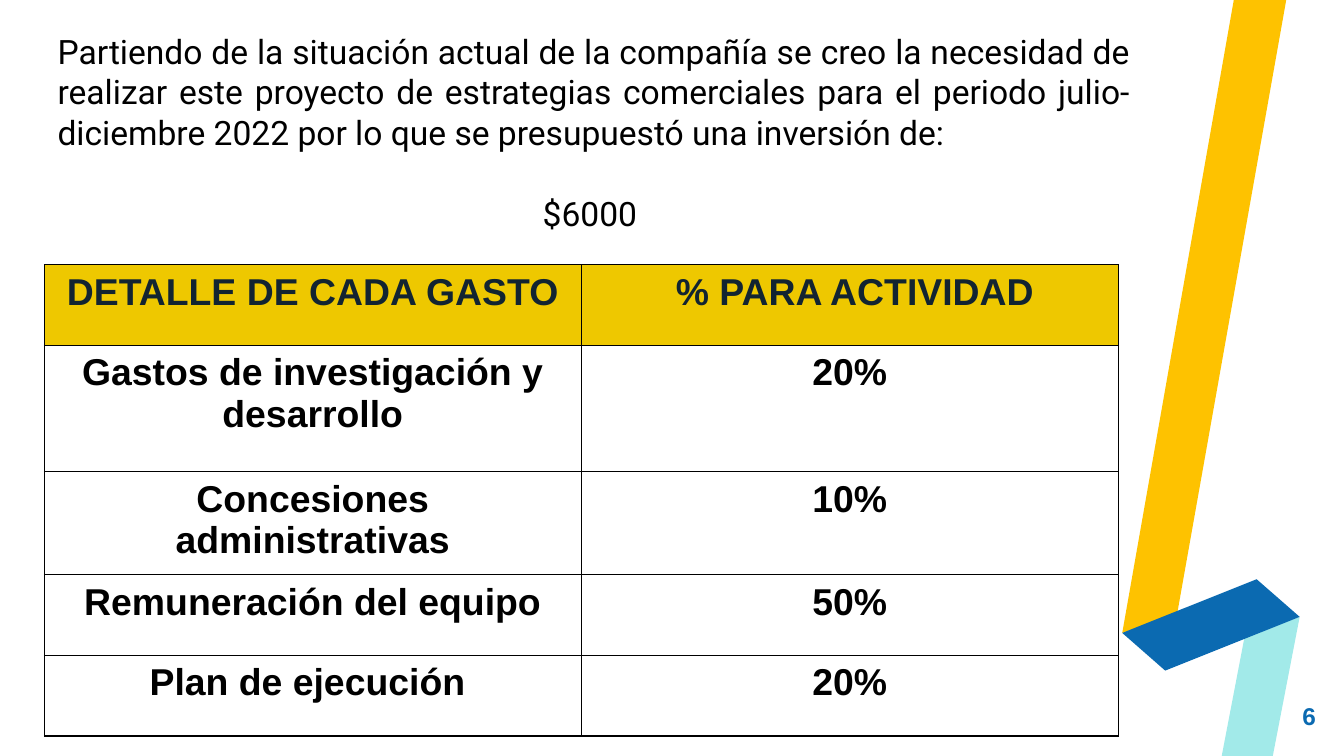
from pptx import Presentation
from pptx import util as u
from pptx.dml.color import RGBColor
from pptx.enum import text
from pptx.oxml import parse_xml
from pptx.oxml.ns import nsdecls

YELLOW = RGBColor(0xFE, 0xC2, 0x00)
AQUA = RGBColor(0xA2, 0xEA, 0xE9)
BLUE = RGBColor(0x0B, 0x6A, 0xB1)
GOLD = RGBColor(0xEE, 0xC8, 0x00)
NAVY = RGBColor(0x12, 0x24, 0x31)
BLACK = RGBColor(0, 0, 0)

SLIDE_WIDTH = 10
SLIDE_HEIGHT = SLIDE_WIDTH * 9 / 16
CENTER = text.PP_ALIGN.CENTER
INTRO = ("Partiendo de la situación actual de la compañía se creo la necesidad de "
         "realizar este proyecto de estrategias comerciales para el periodo julio- "
         "diciembre 2022 por lo que se presupuestó una inversión de:")
EXPENSES = [
    ("DETALLE DE CADA GASTO", " % PARA ACTIVIDAD"),
    ("Gastos de investigación y desarrollo", "20%"),
    ("Concesiones administrativas", "10%"),
    ("Remuneración del equipo", "50%"),
    ("Plan de ejecución ", "20%"),
]
ROW_HEIGHTS = [0.6, 0.94, 0.76, 0.6, 0.6]


def set_attributes(target, values):
    for name, value in values.items():
        setattr(target, name, value)


def write(paragraph, content, alignment, color, **font):
    paragraph.alignment = alignment
    run = paragraph.add_run()
    run.text = content
    set_attributes(run.font, font)
    run.font.color.rgb = color


def add_text_box(slide, box, **frame_values):
    shape = slide.shapes.add_textbox(*map(u.Inches, box))
    frame = shape.text_frame
    set_attributes(frame, {"word_wrap": True, **frame_values})
    return frame


def add_ribbon(slide, left, top):
    """Folded ribbon; points are offsets from the box corner."""
    strips = [
        (YELLOW, [(0.83, 0), (1.22, 0), (0.41, 4.56), (0, 4.71)]),
        (AQUA, [(0.74, SLIDE_HEIGHT), (0.91, 4.74), (1.32, 4.59), (1.12, SLIDE_HEIGHT)]),
        (BLUE, [(0, 4.71), (1, 4.31), (1.32, 4.59), (0.32, 4.99)]),
    ]
    for color, offsets in strips:
        points = [(u.Inches(left + x), u.Inches(top + y)) for x, y in offsets]
        builder = slide.shapes.build_freeform(*points[0])
        builder.add_line_segments(points[1:], close=True)
        shape = builder.convert_to_shape()
        shape.shadow.inherit = False
        shape.fill.solid()
        shape.fill.fore_color.rgb = color
        shape.line.fill.background()


def add_page_number(slide, box, number):
    frame = add_text_box(slide, box, vertical_anchor=text.MSO_ANCHOR.MIDDLE,
                         margin_left=0, margin_top=0, margin_right=0, margin_bottom=0)
    write(frame.paragraphs[0], number, text.PP_ALIGN.RIGHT, BLUE,
          name="Arial", size=u.Pt(13), bold=True)


def add_introduction(slide, box):
    frame = add_text_box(slide, box)
    font = {"name": "Roboto", "size": u.Pt(18)}
    write(frame.paragraphs[0], INTRO, text.PP_ALIGN.JUSTIFY, BLACK, **font)
    amount = frame.add_paragraph()
    amount.space_before = u.Pt(22)
    write(amount, "$6000 ", CENTER, BLACK, **font)


def add_borders(cell):
    # Borders come before the fill in the cell properties
    properties = cell._tc.get_or_add_tcPr()
    for index, side in enumerate(("lnL", "lnR", "lnT", "lnB")):
        properties.insert(index, parse_xml(
            f'<a:{side} {nsdecls("a")} w="{u.Pt(0.75)}"><a:solidFill>'
            f'<a:srgbClr val="{BLACK}"/></a:solidFill></a:{side}>'))


def add_expense_table(slide, box):
    frame = slide.shapes.add_table(len(EXPENSES), 2, *map(u.Inches, box))
    table = frame.table
    set_attributes(table, {"first_row": False, "horz_banding": False})
    for row, height in zip(table.rows, ROW_HEIGHTS):
        row.height = u.Inches(height)
    for row_index, values in enumerate(EXPENSES):
        for column_index, value in enumerate(values):
            cell = table.cell(row_index, column_index)
            is_header = row_index == 0
            if is_header:
                cell.fill.solid()
                cell.fill.fore_color.rgb = GOLD
            else:
                cell.fill.background()
            add_borders(cell)
            write(cell.text_frame.paragraphs[0], value, CENTER,
                  NAVY if is_header else BLACK,
                  name="Arial", size=u.Pt(20), bold=True)


def main():
    presentation = Presentation()
    set_attributes(presentation, {"slide_width": u.Inches(SLIDE_WIDTH),
                                  "slide_height": u.Inches(SLIDE_HEIGHT)})
    slide = presentation.slides.add_slide(presentation.slide_layouts[6])
    add_ribbon(slide, 8.35, 0)
    add_page_number(slide, (9.19, 5.11, 0.6, 0.43), "6")
    add_introduction(slide, (0.33, 0.18, 8.18, 5.12))
    add_expense_table(slide, (0.33, 1.97, 7.99, sum(ROW_HEIGHTS)))
    presentation.save("out.pptx")


if __name__ == "__main__":
    main()
